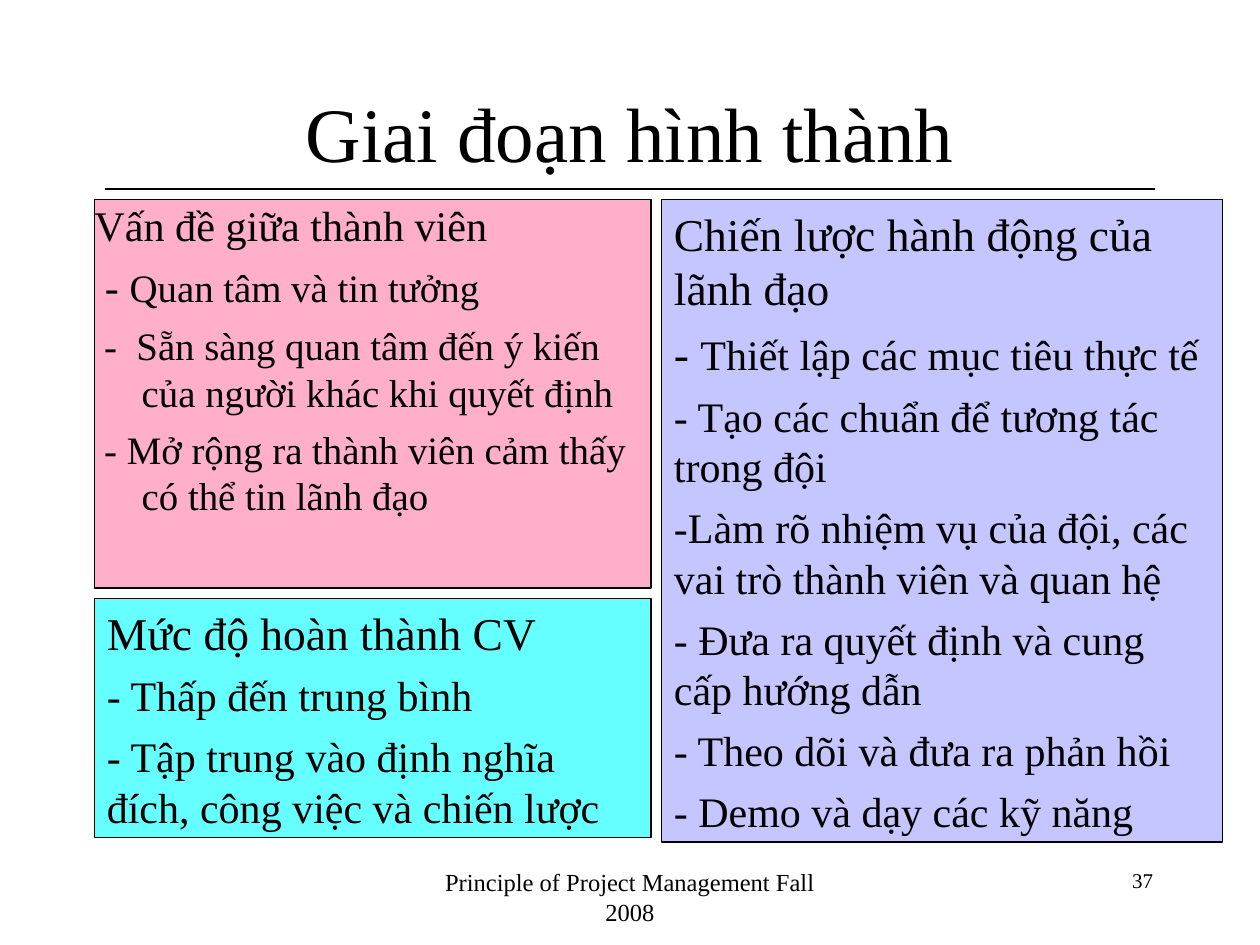
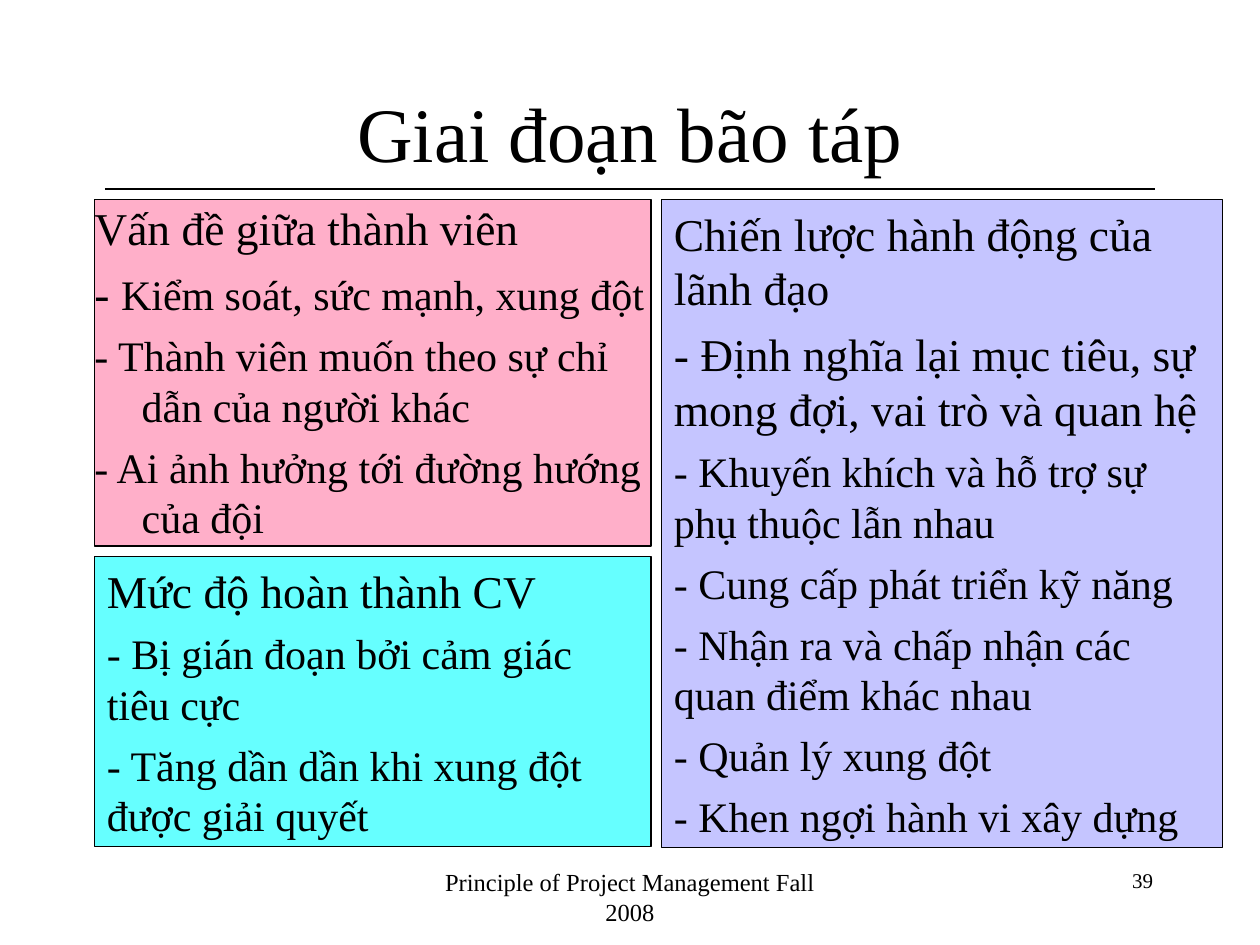
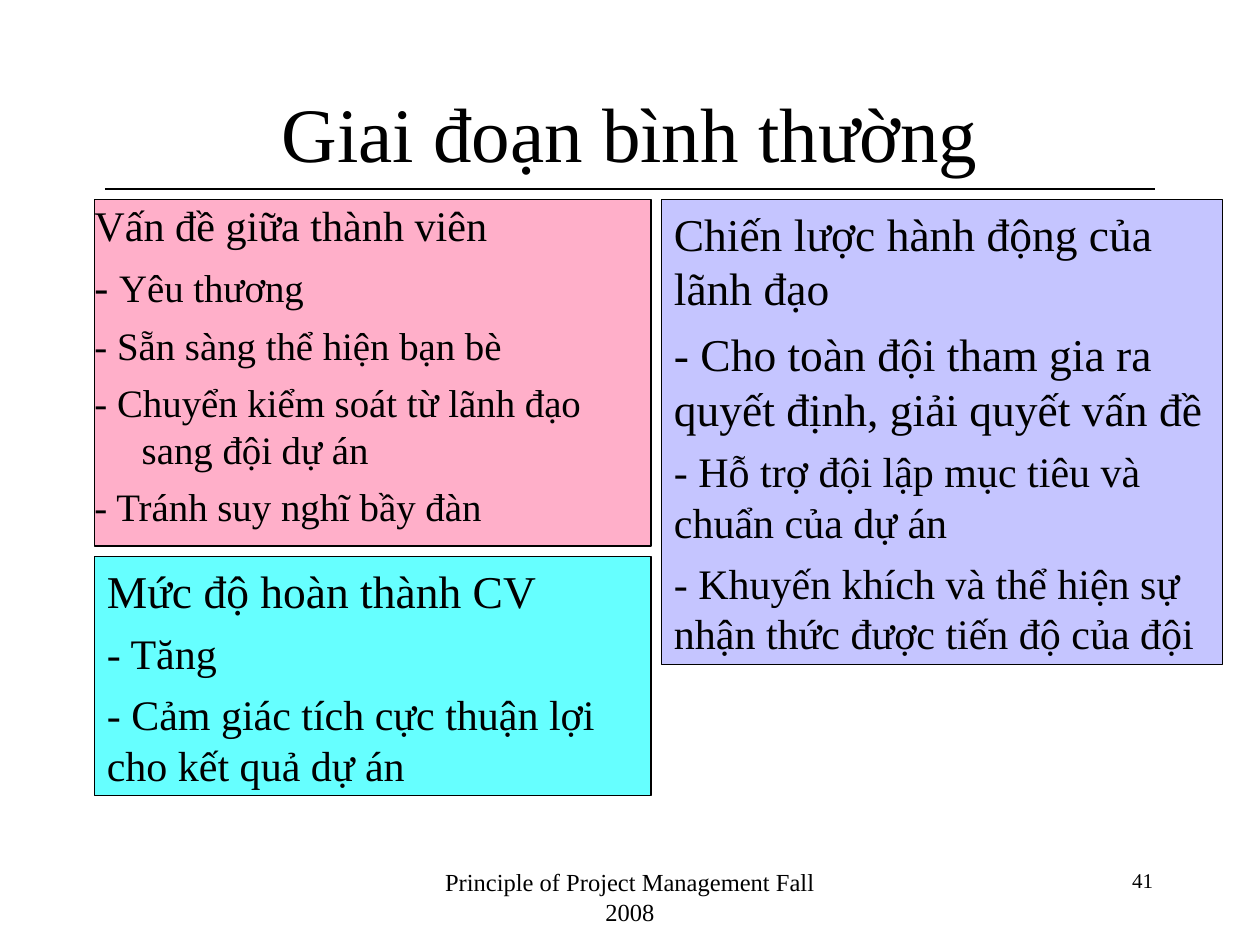
from dataclasses import dataclass

from lxml.etree import SubElement
from pptx import Presentation
from pptx.dml.color import RGBColor
from pptx.enum.shapes import MSO_CONNECTOR, MSO_SHAPE
from pptx.enum.text import MSO_ANCHOR, MSO_AUTO_SIZE, PP_ALIGN
from pptx.oxml.ns import qn
from pptx.util import Pt

SCALE = 7620


@dataclass(frozen=True)
class Theme:
    font: str = "Times New Roman"
    ink: str = "000000"
    pink: tuple = ("FF6699", 52)
    violet: tuple = ("9999FF", 56)
    cyan: tuple = ("66FFFF", 100)
    title: float = 44
    foot: float = 14
    page: float = 12
    wide: tuple = (26, 24)
    tight: tuple = (24.1, 22.2)
    rule: float = 0.75


def px(*nums):
    return [num * SCALE for num in nums]


class Deck:
    def __init__(self, theme):
        self.theme = theme
        self.show = Presentation()
        self.show.slide_width, self.show.slide_height = px(1200, 900)
        self.slide = None

    def add(self):
        self.slide = self.show.slides.add_slide(self.show.slide_layouts[5])

    def style(self, run, size):
        run.font.name = self.theme.font
        run.font.size = Pt(size)
        run.font.color.rgb = RGBColor.from_string(self.theme.ink)

    def fill(self, frame, text, size, align):
        frame.word_wrap = True
        frame.text = text
        para = frame.paragraphs[0]
        para.alignment = align
        self.style(para.runs[0], size)

    def title(self, text):
        shape = self.slide.shapes.title
        shape.left, shape.top, shape.width, shape.height = px(90, 50, 1020, 150)
        shape.text_frame.vertical_anchor = MSO_ANCHOR.MIDDLE
        self.fill(shape.text_frame, text, self.theme.title, PP_ALIGN.CENTER)

    def rule(self, left, top, right):
        line = self.slide.shapes.add_connector(
            MSO_CONNECTOR.STRAIGHT, *px(left, top, right, top))
        line.line.color.rgb = RGBColor.from_string(self.theme.ink)
        line.line.width = Pt(self.theme.rule)
        SubElement(line._element.spPr, qn("a:effectLst"))

    def label(self, area, text, size, align):
        box = self.slide.shapes.add_textbox(*px(*area))
        self.fill(box.text_frame, text, size, align)

    def panel(self, area, paint, lines, sizes, hang=0):
        box = self.slide.shapes.add_shape(MSO_SHAPE.RECTANGLE, *px(*area))
        box.shadow.inherit = False
        box.line.color.rgb = RGBColor.from_string(self.theme.ink)
        box.line.width = Pt(self.theme.rule)
        color, alpha = paint
        box.fill.solid()
        box.fill.fore_color.rgb = RGBColor.from_string(color)
        if alpha < 100:
            tint = box._element.spPr.find(".//" + qn("a:srgbClr"))
            SubElement(tint, qn("a:alpha"), val=str(alpha * 1000))
        frame = box.text_frame
        frame.word_wrap = True
        frame.vertical_anchor = MSO_ANCHOR.TOP
        if hang:
            frame.margin_left = frame.margin_right = 0
            frame.margin_top = frame.margin_bottom = 0
        else:
            frame.auto_size = MSO_AUTO_SIZE.SHAPE_TO_FIT_TEXT
        for num, line in enumerate(lines):
            para = frame.add_paragraph() if num else frame.paragraphs[0]
            self.entry(para, line, sizes, hang)

    def entry(self, para, line, sizes, hang):
        parts = line.rpartition("|")[::2]
        para.alignment = PP_ALIGN.LEFT
        para.space_before = Pt(6 if parts[1] else 6.5)
        if hang:
            props = para._p.get_or_add_pPr()
            props.set("marL", str(hang * SCALE))
            props.set("indent", str(-hang * SCALE))
        for part, size in zip(parts, sizes):
            if part:
                run = para.add_run()
                run.text = part
                self.style(run, size)

    def stage(self, name, page, sizes, split, low, tall, team, work, lead):
        theme = self.theme
        self.add()
        self.rule(100, 180, 1100)
        self.title(name)
        top, gap = 190, 10
        self.panel((90, top, 530, split - top), theme.pink,
                   ["Vấn đề giữa thành viên|", *team], sizes, hang=45)
        self.label((410, 820, 380, 60), "Principle of Project Management Fall 2008",
                   theme.foot, PP_ALIGN.CENTER)
        self.label((860, 820, 250, 60), page, theme.page, PP_ALIGN.RIGHT)
        self.panel((630, top, 534, tall), theme.violet,
                   ["Chiến lược hành động của lãnh đạo|", *lead], theme.wide)
        self.panel((90, split + gap, 530, low), theme.cyan,
                   ["Mức độ hoàn thành CV|", *work], theme.wide)


def main():
    theme = Theme()
    deck = Deck(theme)
    deck.stage(
        "Giai đoạn hình thành", "37", theme.tight, split=560, low=228, tall=612,
        team=[
            " - |Quan tâm và tin tưởng",
            " -  Sẵn sàng quan tâm đến ý kiến của người khác khi quyết định",
            " - Mở rộng ra thành viên cảm thấy có thể tin lãnh đạo",
        ],
        work=[
            "- Thấp đến trung bình",
            "- Tập trung vào định nghĩa đích, công việc và chiến lược",
        ],
        lead=[
            "- |Thiết lập các mục tiêu thực tế",
            "- Tạo các chuẩn để tương tác trong đội",
            "-Làm rõ nhiệm vụ của đội, các vai trò thành viên và quan hệ",
            "- Đưa ra quyết định và cung cấp hướng dẫn",
            "- Theo dõi và đưa ra phản hồi",
            "- Demo và dạy các kỹ năng",
        ])
    deck.stage(
        "Giai đoạn bão táp", "39", theme.wide, split=520, low=276, tall=617,
        team=[
            "- |Kiểm soát, sức mạnh, xung đột",
            "- Thành viên muốn theo sự chỉ dẫn của người khác",
            "- Ai ảnh hưởng tới đường hướng của đội",
        ],
        work=[
            "- Bị gián đoạn bởi cảm giác tiêu cực",
            "- Tăng dần dần khi xung đột được giải quyết",
        ],
        lead=[
            "- Định nghĩa lại mục tiêu, sự mong đợi, vai trò và quan hệ|",
            "- Khuyến khích và hỗ trợ sự phụ thuộc lẫn nhau",
            "- Cung cấp phát triển kỹ năng",
            "- Nhận ra và chấp nhận các quan điểm khác nhau",
            "- Quản lý xung đột",
            "- Khen ngợi hành vi xây dựng",
        ])
    deck.stage(
        "Giai đoạn bình thường", "41", theme.tight, split=520, low=228, tall=443,
        team=[
            "- |Yêu thương",
            "- Sẵn sàng thể hiện bạn bè",
            "- Chuyển kiểm soát từ lãnh đạo sang đội dự án",
            "- Tránh suy nghĩ bầy đàn",
        ],
        work=[
            "- Tăng",
            "- Cảm giác tích cực thuận lợi cho kết quả dự án",
        ],
        lead=[
            "- Cho toàn đội tham gia ra quyết định, giải quyết vấn đề|",
            "- Hỗ trợ đội lập mục tiêu và chuẩn của dự án",
            "- Khuyến khích và thể hiện sự nhận thức được tiến độ của đội",
        ])
    deck.show.save("out.pptx")


if __name__ == "__main__":
    main()
